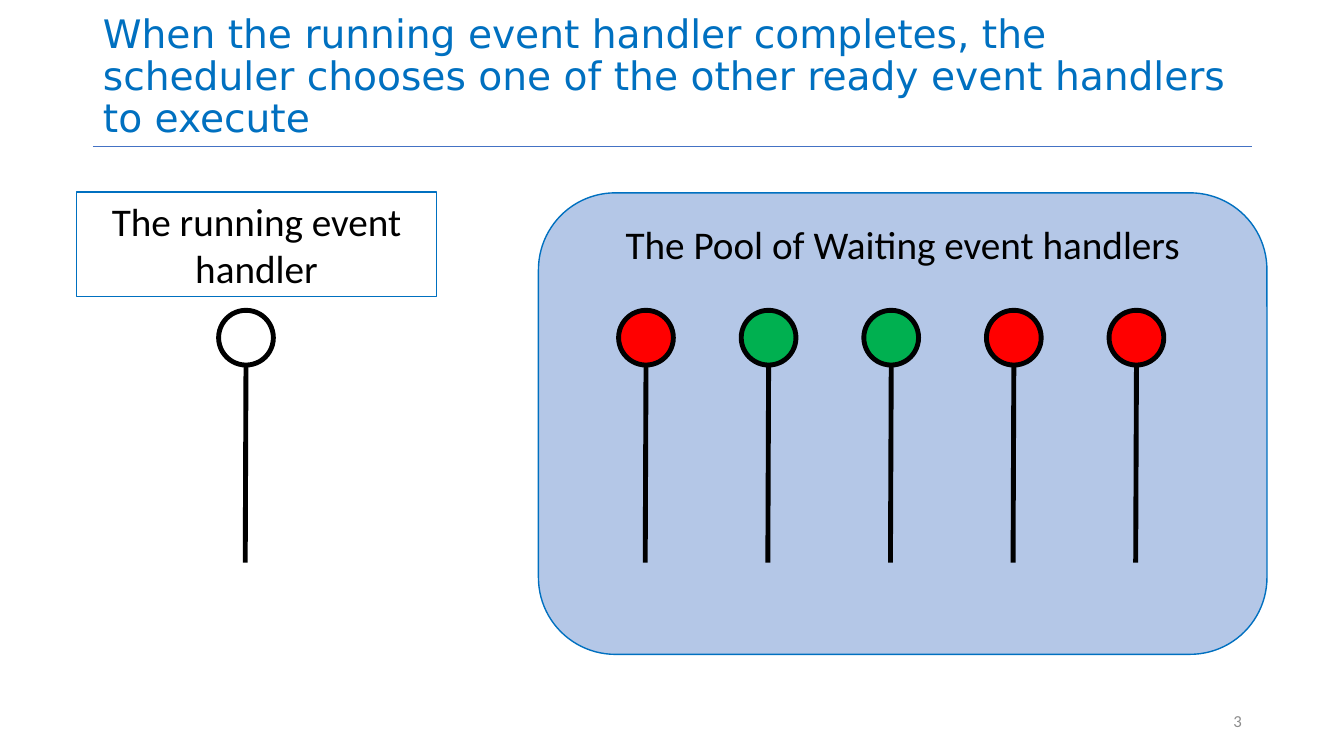
"""Build a slide showing the running event handler beside the pool of waiting ones."""
from lxml import etree
from pptx import Presentation
from pptx.dml.color import RGBColor
from pptx.enum.shapes import MSO_CONNECTOR, MSO_SHAPE
from pptx.enum.text import MSO_ANCHOR, MSO_AUTO_SIZE, PP_ALIGN
from pptx.oxml.ns import qn
from pptx.util import Cm, Pt

STRAIGHT = MSO_CONNECTOR.STRAIGHT
RECTANGLE, ROUNDED, OVAL = MSO_SHAPE.RECTANGLE, MSO_SHAPE.ROUNDED_RECTANGLE, MSO_SHAPE.OVAL
TOP, MIDDLE, BOTTOM = MSO_ANCHOR.TOP, MSO_ANCHOR.MIDDLE, MSO_ANCHOR.BOTTOM
LEFT, CENTER, RIGHT = PP_ALIGN.LEFT, PP_ALIGN.CENTER, PP_ALIGN.RIGHT

THEME = {
    "blue": RGBColor.from_string("0070C0"),
    "rule": RGBColor.from_string("4472C4"),
    "pool": RGBColor.from_string("B4C7E7"),
    "black": RGBColor.from_string("000000"),
    "grey": RGBColor.from_string("8C8C8C"),
    "red": RGBColor.from_string("FF0000"),
    "green": RGBColor.from_string("00B050"),
    "title": {"name": "DejaVu Sans", "size": Pt(28)},
    "label": {"name": "Calibri", "size": Pt(28)},
    "number": {"name": "Calibri", "size": Pt(12)},
}


def write(holder, text, style, color, frame_format, paragraph_format):
    frame = holder.text_frame
    frame.text = text
    paragraph = frame.paragraphs[0]
    font = paragraph.runs[0].font
    font.color.rgb = THEME[color]
    frame_format = {"word_wrap": True, "auto_size": MSO_AUTO_SIZE.NONE, **frame_format}
    for part, values in ((frame, frame_format), (paragraph, paragraph_format), (font, THEME[style])):
        for attribute, value in values.items():
            setattr(part, attribute, value)


def paint(part, line_color, width, fill=None):
    part.line.color.rgb = THEME[line_color]
    part.line.width = Pt(width)
    if hasattr(part, "fill"):
        part.shadow.inherit = False
        if fill:
            part.fill.solid()
            part.fill.fore_color.rgb = THEME[fill]
        else:
            part.fill.background()
    else:
        etree.SubElement(part.line._get_or_add_ln().getparent(), qn("a:effectLst"))


deck = Presentation()
deck.slide_width, deck.slide_height = Cm(33.87), Cm(19.05)
slide = deck.slides.add_slide(deck.slide_layouts[5])
shapes = slide.shapes

title_rule = shapes.add_connector(STRAIGHT, Cm(2.34), Cm(3.69), Cm(31.55), Cm(3.69))
paint(title_rule, "rule", 0.5)

title = shapes.title
title.left, title.top, title.width, title.height = Cm(2.34), Cm(0), Cm(29.21), Cm(3.69)
write(title, "When the running event handler completes, the scheduler chooses one of "
      "the other ready event handlers to execute", "title", "blue",
      {"vertical_anchor": BOTTOM}, {"alignment": LEFT, "line_spacing": 0.9})

slide_number = shapes.add_textbox(Cm(23.93), Cm(17.65), Cm(7.62), Cm(1.02))
write(slide_number, "3", "number", "grey", {"vertical_anchor": MIDDLE}, {"alignment": RIGHT})

waiting_pool = shapes.add_shape(ROUNDED, Cm(13.57), Cm(4.86), Cm(18.36), Cm(11.63))
paint(waiting_pool, "blue", 1, "pool")
write(waiting_pool, "The Pool of Waiting event handlers", "label", "black",
      {"vertical_anchor": TOP}, {"alignment": CENTER})

running_label = shapes.add_shape(RECTANGLE, Cm(1.93), Cm(4.84), Cm(9.07), Cm(2.64))
paint(running_label, "blue", 1)
write(running_label, "The running event handler", "label", "black",
      {"vertical_anchor": MIDDLE}, {"alignment": CENTER})

head_size, head_top, stem_end, stem_lean = 1.38, 7.82, 14.18, 0.02
first_waiting, waiting_pitch = 15.59, 3.09
waiting_states = ("red", "green", "green", "red", "red")
handlers = [(5.51, None)] + [
    (first_waiting + order * waiting_pitch, state) for order, state in enumerate(waiting_states)
]
for head_left, state in handlers:
    handler = shapes.add_group_shape().shapes
    head = handler.add_shape(OVAL, Cm(head_left), Cm(head_top), Cm(head_size), Cm(head_size))
    paint(head, "black", 3.5, state)
    stem_x = head_left + head_size / 2
    stem = handler.add_connector(STRAIGHT, Cm(stem_x), Cm(head_top + head_size),
                                 Cm(stem_x - stem_lean), Cm(stem_end))
    paint(stem, "black", 3.5)

deck.save("out.pptx")
